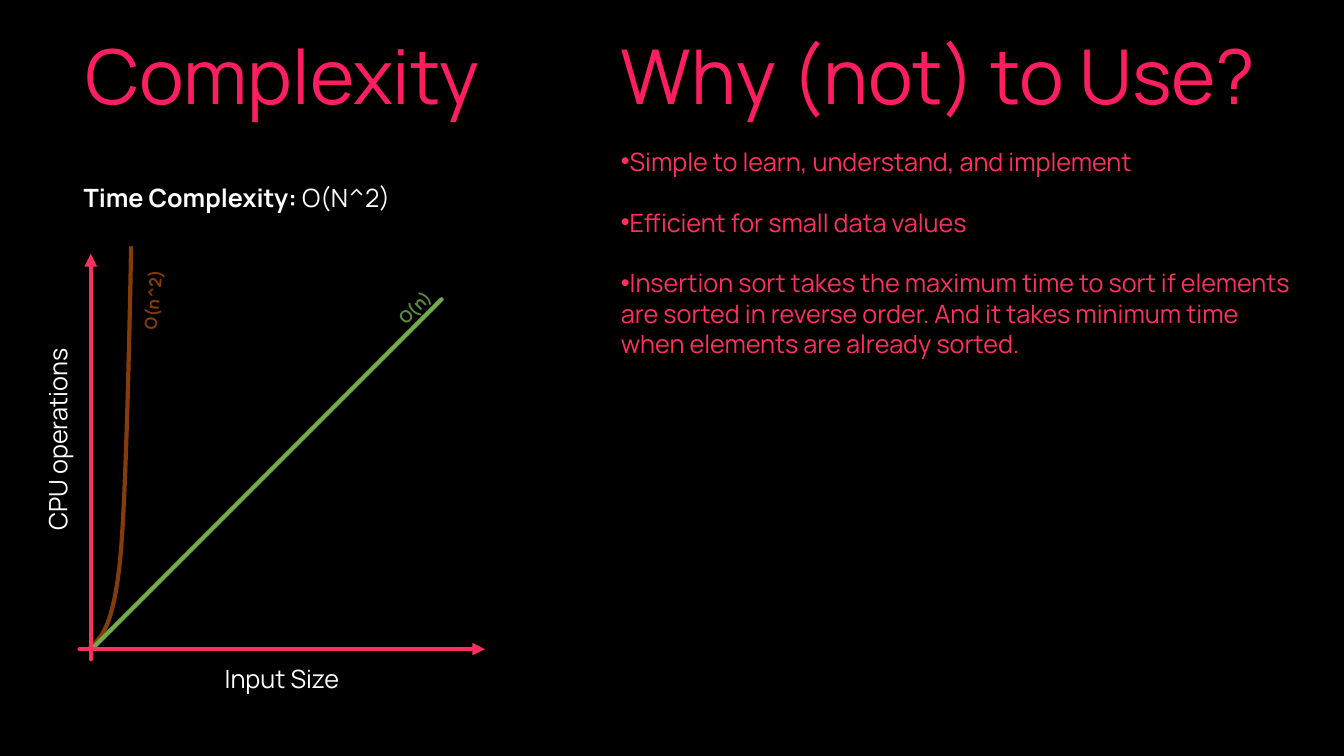
from lxml import etree
from pptx import Presentation
from pptx.dml.color import RGBColor
from pptx.enum import shapes, text
from pptx.oxml.ns import qn
from pptx.util import Inches, Pt

BLACK = RGBColor(0x00, 0x00, 0x00)
WHITE = RGBColor(0xFF, 0xFF, 0xFF)
PINK = RGBColor(0xFF, 0x1E, 0x60)
ROSE = RGBColor(0xFF, 0x30, 0x5E)
BROWN = RGBColor(0x84, 0x3C, 0x0B)
GREEN = RGBColor(0x70, 0xAD, 0x47)
DARK_GREEN = RGBColor(0x5C, 0x8D, 0x3E)
FONT = "Manrope"

# Content: boxes are left, top, width, height in inches
TITLE = ("Complexity", (0.49, 0.24, 4.62, 1.01))
SECOND_TITLE = ("Why (not) to Use?", (5.76, 0.24, 7.09, 1.01))
TIME_COMPLEXITY = (("Time Complexity: ", True), ("O(N^2)", False))
REASONS = [
    "Simple to learn, understand, and implement",
    "Efficient for small data values",
    "Insertion sort takes the maximum time to sort if elements are sorted in "
    "reverse order. And it takes minimum time when elements are already sorted.",
]
# text, box, rotation, colour
CURVE_LABELS = [
    ("O(n^2)", (1.11, 2.81, 0.82, 0.3), 276.1, BROWN),
    ("O(n)", (3.82, 2.89, 0.61, 0.3), 314.4, DARK_GREEN),
]
AXIS_LABELS = [
    ("Input Size", (2.09, 6.53, 1.41, 0.4), 0),
    ("CPU operations", (-0.95, 4.16, 3.04, 0.4), 270),
]
# start, end
LINEAR = ((0.9, 6.45), (4.38, 2.97))
AXES = [((0.79, 6.44), (4.81, 6.44)), ((0.9, 6.54), (0.9, 2.52))]
# Control points of the two cubic arcs of the n^2 curve
QUADRATIC = [
    ((0.89, 6.43), (1.0, 6.33), (1.12, 6.23), (1.19, 5.57)),
    ((1.19, 5.57), (1.26, 4.91), (1.3, 2.46), (1.3, 2.46)),
]
ARC_STEPS = 20

prs = Presentation()
prs.slide_width, prs.slide_height = Inches(13.33), Inches(7.5)
s = prs.slides.add_slide(prs.slide_layouts[5])
s.background.fill.solid()
s.background.fill.fore_color.rgb = BLACK


def format_run(r, size, color, bold=False):
    r.font.name, r.font.size, r.font.bold = FONT, Pt(size), bold
    r.font.color.rgb = color


def fill_text(sp, lines, size, color, bold=False, centred=False, wrap=True):
    tf = sp.text_frame
    tf.word_wrap = wrap
    tf.auto_size = text.MSO_AUTO_SIZE.NONE
    tf.vertical_anchor = text.MSO_ANCHOR.TOP
    tf.text = "\n".join(lines)
    for p in tf.paragraphs:
        p.alignment = text.PP_ALIGN.CENTER if centred else text.PP_ALIGN.LEFT
        for r in p.runs:
            format_run(r, size, color, bold)
    return tf


def add_text(box, *args, rotation=0, **kwargs):
    sp = s.shapes.add_textbox(*map(Inches, box))
    sp.rotation = rotation
    return fill_text(sp, *args, **kwargs)


def style_line(sp, color):
    sp.line.color.rgb = color
    sp.line.width = Pt(3)
    ln = sp.line._get_or_add_ln()
    ln.set("cap", "rnd")
    etree.SubElement(ln, qn("a:round"))
    return ln


def add_line(start, end, color, arrow=False):
    c = s.shapes.add_connector(shapes.MSO_CONNECTOR.STRAIGHT,
                               *map(Inches, start + end))
    ln = style_line(c, color)
    if arrow:
        etree.SubElement(ln, qn("a:tailEnd"), type="triangle")
    etree.SubElement(c._element.spPr, qn("a:effectLst"))


def arc_point(arc, t):
    weights = ((1 - t) ** 3, 3 * t * (1 - t) ** 2, 3 * t * t * (1 - t), t ** 3)
    return tuple(Inches(sum(w * pt[axis] for w, pt in zip(weights, arc)))
                 for axis in (0, 1))


# Growth curves
points = [arc_point(arc, i / ARC_STEPS)
          for arc in QUADRATIC for i in range(ARC_STEPS + 1)]
builder = s.shapes.build_freeform(*points[0])
builder.add_line_segments(points[1:], close=False)
curve = builder.convert_to_shape()
curve.fill.background()
curve.shadow.inherit = False
style_line(curve, BROWN)
add_line(*LINEAR, GREEN)
for label, box, rotation, color in CURVE_LABELS:
    add_text(box, [label], 12, color, bold=True, wrap=False, rotation=rotation)

# Time complexity statement
p = add_text((0.73, 1.76, 3.81, 0.4), [], 18, WHITE).paragraphs[0]
for words, bold in TIME_COMPLEXITY:
    r = p.add_run()
    r.text = words
    format_run(r, 18, WHITE, bold)

# Titles
title, box = TITLE
sp = s.shapes.title
sp.left, sp.top, sp.width, sp.height = map(Inches, box)
fill_text(sp, [title], 54, PINK, centred=True, wrap=False)
title, box = SECOND_TITLE
add_text(box, [title], 54, PINK, centred=True, wrap=False)

# Reasons, one line's height apart
tf = add_text((6.06, 1.4, 6.87, 2.22), REASONS, 18, ROSE)
for i, p in enumerate(tf.paragraphs):
    pPr = p._p.get_or_add_pPr()
    pPr.set("marL", "0")
    pPr.set("indent", "0")
    etree.SubElement(pPr, qn("a:buFont"), typeface="Arial")
    etree.SubElement(pPr, qn("a:buChar"), char="•")
    if i:
        p.space_before = Pt(21.8)

# Axes and their labels
for start, end in AXES:
    add_line(start, end, ROSE, arrow=True)
for label, box, rotation in AXIS_LABELS:
    add_text(box, [label], 18, WHITE, centred=True, rotation=rotation)

prs.save("out.pptx")
